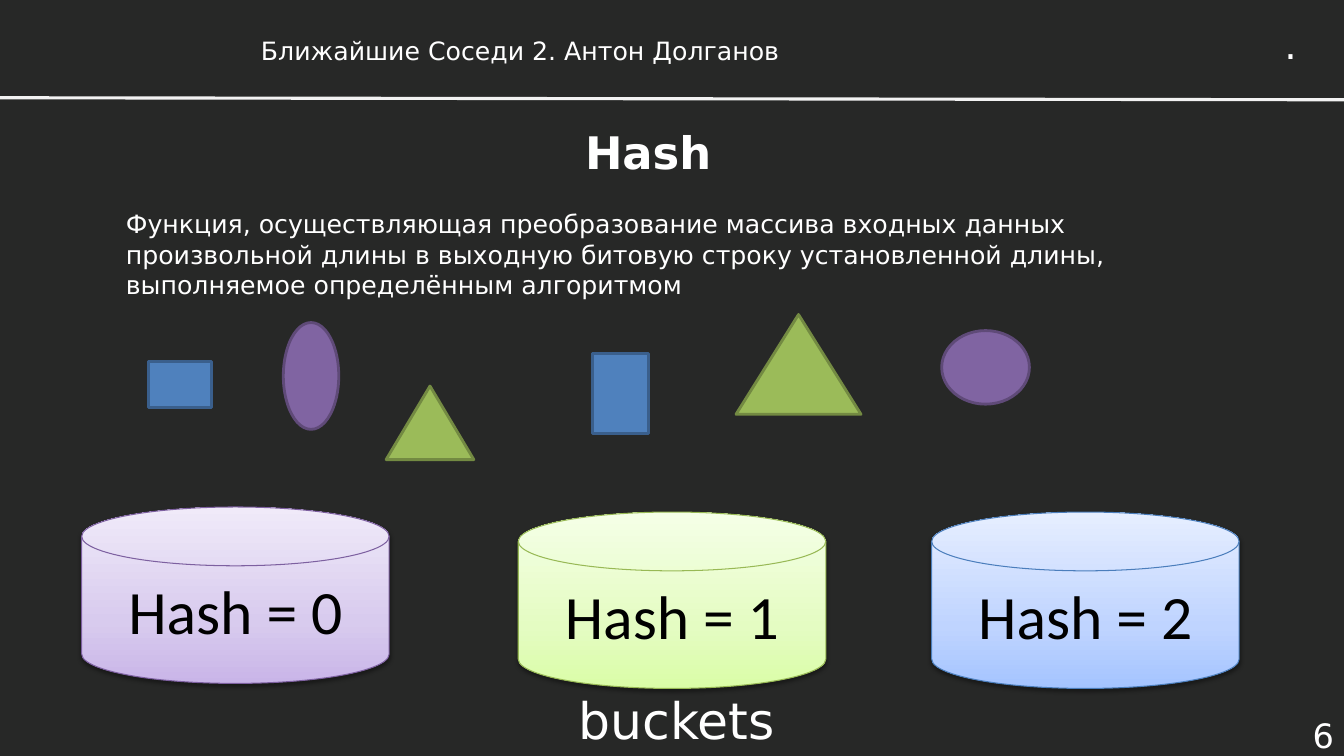
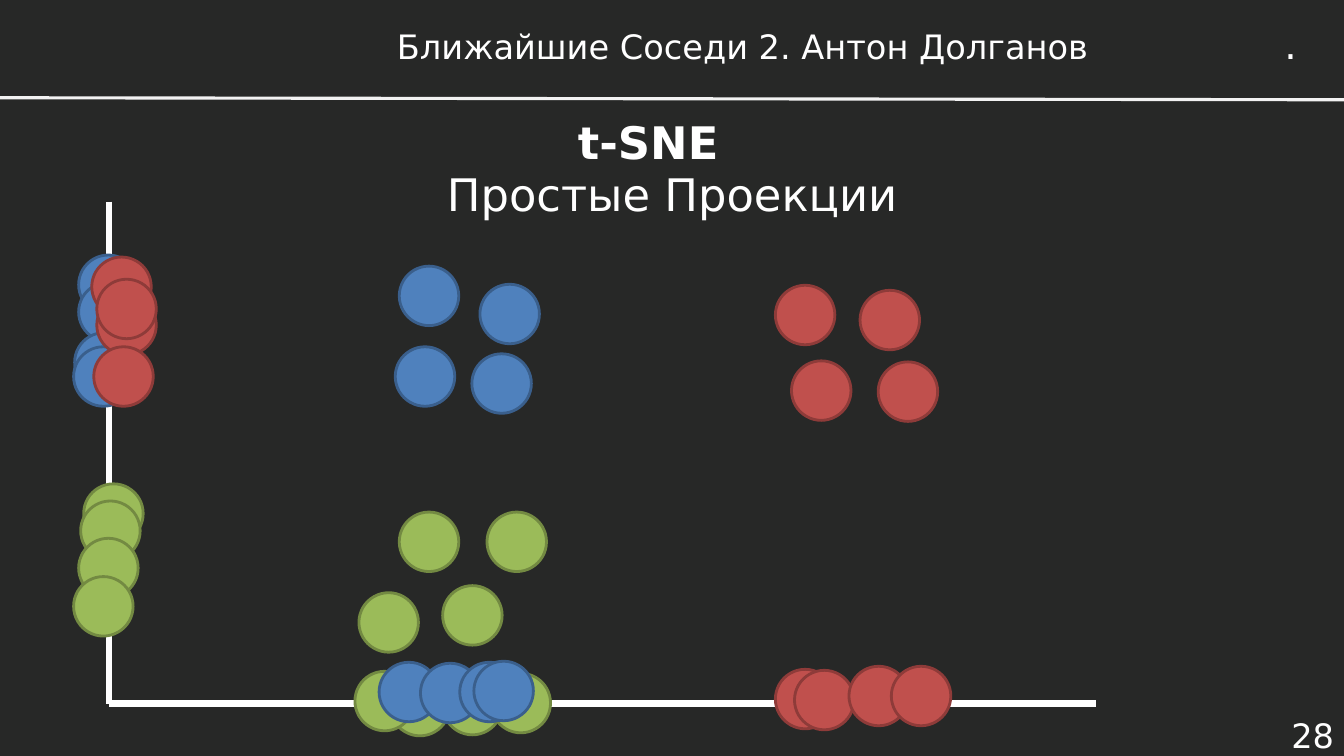
from copy import deepcopy
from dataclasses import dataclass

from lxml import etree
from pptx import Presentation
from pptx import util as u
from pptx.dml.color import RGBColor
from pptx.enum import shapes, text
from pptx.oxml import ns


@dataclass(frozen=True)
class Theme:
    font: str = "DejaVu Sans"
    disk_font: str = "Calibri"
    back: str = "272827"
    white: str = "FFFFFF"
    black: str = "000000"
    rule: str = "F2F2F2"
    blue: tuple = ("4F81BD", "3A5F8C")
    red: tuple = ("C0504D", "8E3B39")
    green: tuple = ("9BBB59", "738A42")
    plum: tuple = ("8064A2", "5F4A78")
    body: int = 18
    page: int = 24
    mark: int = 28
    title: int = 32
    label: int = 36
    disk: int = 44
    edge: float = 2
    dot: float = 0.59


T = Theme()
KIND = shapes.MSO_SHAPE
ALIGN = text.PP_ALIGN
MID = text.MSO_ANCHOR.MIDDLE
TOP = text.MSO_ANCHOR.TOP
HEAD = "Ближайшие Соседи 2. Антон Долганов"


def rgb(code):
    return RGBColor.from_string(code)


def inches(*sizes):
    return [u.Inches(size) for size in sizes]


def write(frame, words, size, align, font, color, bold=False):
    frame.text = words
    para = frame.paragraphs[0]
    para.alignment = align
    run = para.runs[0].font
    run.name, run.size, run.bold = font, u.Pt(size), bold
    run.color.rgb = rgb(color)


def add_text(slide, words, area, size, align=ALIGN.LEFT, anchor=TOP,
             bold=False, wrap=True):
    frame = slide.shapes.add_textbox(*inches(*area)).text_frame
    frame.word_wrap = wrap
    frame.vertical_anchor = anchor
    write(frame, words, size, align, T.font, T.white, bold)


def add_title(slide, words, area, bold=True):
    add_text(slide, words, area, T.title, ALIGN.CENTER, MID, bold)


def add_line(slide, start, end, color, width):
    line = slide.shapes.add_connector(
        shapes.MSO_CONNECTOR.STRAIGHT, *inches(*start, *end))
    line.line.color.rgb = rgb(color)
    line.line.width = u.Pt(width)
    etree.SubElement(line._element.spPr, ns.qn("a:effectLst"))


def add_shape(slide, kind, area, edge, width):
    shape = slide.shapes.add_shape(kind, *inches(*area))
    shape.shadow.inherit = False
    shape.line.color.rgb = rgb(edge)
    shape.line.width = u.Pt(width)
    return shape


def add_solid(slide, kind, area, paint):
    shape = add_shape(slide, kind, area, paint[1], T.edge)
    shape.fill.solid()
    shape.fill.fore_color.rgb = rgb(paint[0])


def add_dots(slide, paint, spots):
    for left, top in spots:
        add_solid(slide, KIND.OVAL, (left, top, T.dot, T.dot), paint)


def shade(shape, colors):
    shape.fill.gradient()
    shape.fill.gradient_angle = 90
    stops = shape._element.spPr.find(
        f"{ns.qn('a:gradFill')}/{ns.qn('a:gsLst')}")
    stops.append(deepcopy(stops[-1]))
    for stop, place, color in zip(
            shape.fill.gradient_stops, (0, 0.35, 1), colors):
        stop.position = place
        stop.color.rgb = rgb(color)


def add_shadow(shape):
    host = shape._element.spPr.find(ns.qn("a:effectLst"))
    cast = etree.SubElement(
        host, ns.qn("a:outerShdw"), blurRad=str(u.Pt(3.1)),
        dist=str(u.Pt(1.6)), dir="5400000", rotWithShape="0")
    color = etree.SubElement(cast, ns.qn("a:srgbClr"), val=T.black)
    etree.SubElement(color, ns.qn("a:alpha"), val="38000")


def add_disk(slide, words, left, top, edge, colors):
    disk = add_shape(slide, KIND.FLOWCHART_MAGNETIC_DISK,
                     (left, top, 3.05, 1.75), edge, 0.75)
    shade(disk, colors)
    add_shadow(disk)
    disk.text_frame.vertical_anchor = MID
    write(disk.text_frame, words, T.disk, ALIGN.CENTER, T.disk_font, T.black)


def add_slide(deck, number):
    slide = deck.slides.add_slide(deck.slide_layouts[6])
    slide.background.fill.solid()
    slide.background.fill.fore_color.rgb = rgb(T.back)
    add_line(slide, (0, 0.97), (13.33, 0.99), T.rule, 2.25)
    add_text(slide, ".", (12.64, 0.15, 0.34, 0.57), T.mark, wrap=False)
    add_text(slide, number, (12.28, 7.08, 1.05, 0.42), T.page,
             ALIGN.RIGHT, MID)
    return slide


def draw_hash(deck):
    slide = add_slide(deck, "6")
    add_text(slide, HEAD, (2.49, 0.3, 8.27, 0.4), T.body)
    add_title(slide, "Hash", (2.1, 1.05, 8.66, 0.91))
    add_text(slide, "Функция, осуществляющая преобразование массива входных "
             "данных произвольной длины в выходную битовую строку "
             "установленной длины, выполняемое определённым алгоритмом",
             (1.15, 2.02, 10.71, 1.01), T.body)
    for kind, paint, areas in (
        (KIND.RECTANGLE, T.blue,
         ((1.47, 3.59, 0.63, 0.45), (5.88, 3.51, 0.55, 0.79))),
        (KIND.ISOSCELES_TRIANGLE, T.green,
         ((3.83, 3.83, 0.87, 0.73), (7.3, 3.12, 1.24, 0.99))),
        (KIND.OVAL, T.plum,
         ((2.81, 3.2, 0.55, 1.06), (9.34, 3.28, 0.87, 0.73))),
    ):
        for area in areas:
            add_solid(slide, kind, area, paint)
    disks = (
        (0.81, 5.03, "7D60A0", ("C9B5E8", "D8CBEE", "F0EAF9")),
        (5.14, 5.08, "98B955", ("DAFDA7", "E4FCC2", "F5FFE7")),
        (9.24, 5.08, "4B7EBC", ("A4C4FF", "BFD4FF", "E6EEFF")),
    )
    for index, disk in enumerate(disks):
        add_disk(slide, f"Hash = {index}", *disk)
    add_text(slide, "buckets", (5.64, 6.79, 2.15, 0.71), T.label, wrap=False)


def draw_tsne(deck):
    slide = add_slide(deck, "28")
    add_text(slide, HEAD, (3.44, 0.19, 7.85, 0.53), T.page, ALIGN.CENTER, MID)
    add_title(slide, "t-SNE", (2.1, 0.95, 8.66, 0.91))
    add_title(slide, "Простые Проекции", (2.89, 1.47, 7.56, 0.91), False)
    base = (1.08, 6.98)
    for end in ((1.08, 2), (10.87, 6.98)):
        add_line(slide, end, base, T.white, 4.5)
    plane = (
        (T.blue, ((3.96, 2.64), (4.76, 2.82), (4.68, 3.51), (3.92, 3.44))),
        (T.red, ((7.69, 2.83), (8.53, 2.88), (8.71, 3.59), (7.85, 3.58))),
        (T.green, ((3.96, 5.08), (4.83, 5.08), (3.56, 5.88), (4.39, 5.81))),
    )
    side = (
        (T.blue, ((0.78, 2.53), (0.78, 2.8), (0.74, 3.3), (0.73, 3.44))),
        (T.red, ((0.91, 2.55), (0.96, 2.93), (0.96, 2.77), (0.93, 3.44))),
        (T.green, ((0.83, 4.8), (0.8, 4.97), (0.78, 5.34), (0.73, 5.72))),
    )
    floor = (
        (T.green, ((4.87, 6.68), (4.39, 6.7), (3.87, 6.71), (3.52, 6.66))),
        (T.red, ((7.69, 6.64), (7.88, 6.65), (8.42, 6.61), (8.84, 6.61))),
        (T.blue, ((3.76, 6.57), (4.17, 6.58), (4.56, 6.57), (4.7, 6.56))),
    )
    for paint, spots in plane + side + floor:
        add_dots(slide, paint, spots)


def main():
    deck = Presentation()
    deck.slide_width, deck.slide_height = inches(13.33, 7.5)
    draw_hash(deck)
    draw_tsne(deck)
    deck.save("out.pptx")


if __name__ == "__main__":
    main()
